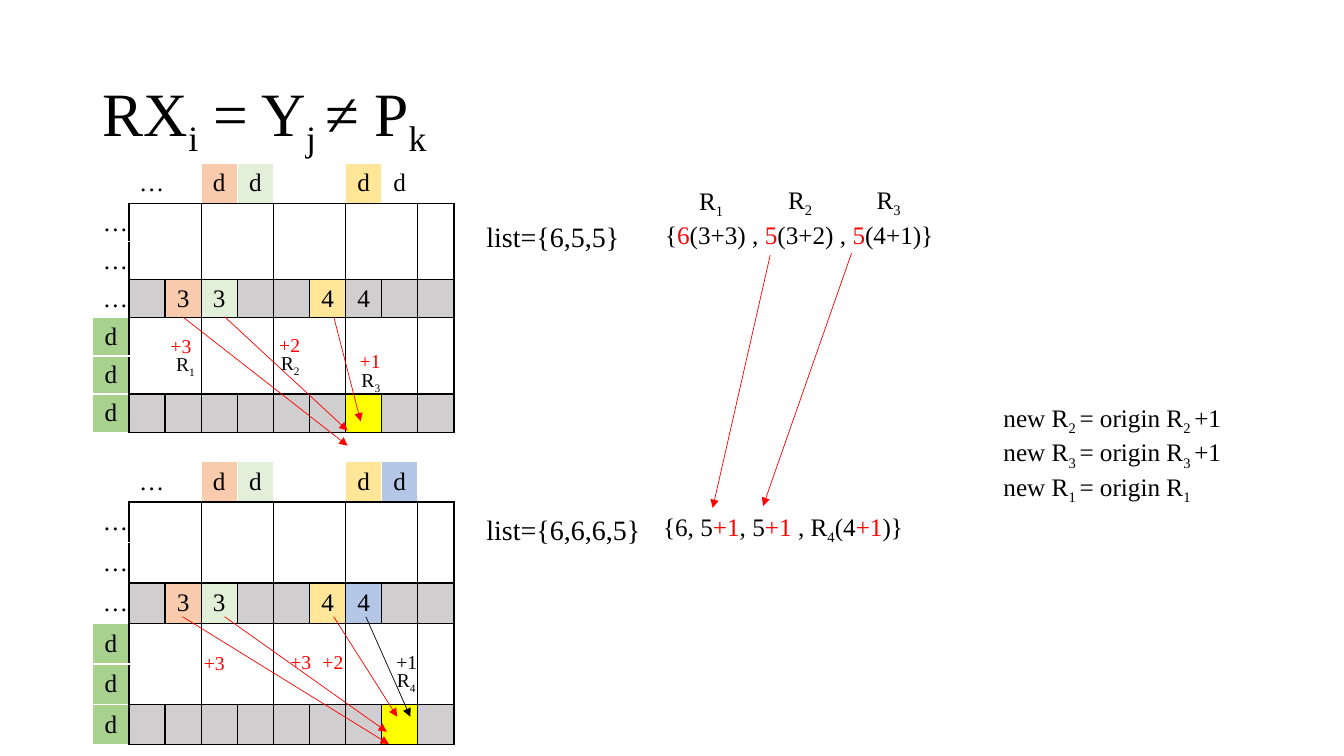
import pptx
import pptx.dml.color
import pptx.enum.shapes
import pptx.enum.text
import pptx.oxml.ns
import pptx.util
from lxml import etree

Cm = pptx.util.Cm
Pt = pptx.util.Pt
ALIGN = pptx.enum.text.PP_ALIGN
ANCHOR = pptx.enum.text.MSO_ANCHOR

FONT = "Times New Roman"
COLORS = {
    "black": "000000", "white": "FFFFFF", "red": "FF0000", "gray": "D0CECE",
    "orange": "F8CBAD", "mint": "E2F0D9", "gold": "FFE699", "blue": "B4C7E7",
    "green": "A9D18E", "yellow": "FFFF00",
}
COLUMNS = 10
GRID_LEFT, COLUMN_WIDTH, HEADER_HEIGHT = 2.34, 0.91, 1.02
SHADED_ROWS = (3, 6)


def rgb(name):
    return pptx.dml.color.RGBColor.from_string(COLORS[name])


def sub_element(parent, tag, **attributes):
    return etree.SubElement(parent, pptx.oxml.ns.qn(tag), attributes)


def style_paragraph(paragraph, size, color="black", align=ALIGN.LEFT):
    paragraph.alignment = align
    paragraph.font.name = FONT
    paragraph.font.size = Pt(size)
    paragraph.font.color.rgb = rgb(color)


def add_text(slide, left, top, width, height, lines, size, color="black",
             align=ALIGN.LEFT):
    """Each line lists plain strings and (string, "sub" or "red") pairs."""
    box = slide.shapes.add_textbox(Cm(left), Cm(top), Cm(width), Cm(height))
    frame = box.text_frame
    frame.word_wrap = False
    for index, pieces in enumerate(lines):
        paragraph = frame.add_paragraph() if index else frame.paragraphs[0]
        style_paragraph(paragraph, size, color, align)
        for piece in pieces:
            text, look = (piece, None) if isinstance(piece, str) else piece
            run = paragraph.add_run()
            run.text = text
            if look == "sub":
                run.font._element.set("baseline", "-25000")
            elif look == "red":
                run.font.color.rgb = rgb("red")
    return frame


def add_title(slide):
    pieces = ["RX", ("i", "sub"), " = Y", ("j ", "sub"), "≠ P", ("k", "sub")]
    frame = add_text(slide, 2.34, 1.02, 29.21, 3.68, [pieces], 44)
    frame.word_wrap = True
    frame.vertical_anchor = ANCHOR.MIDDLE
    frame.paragraphs[0].line_spacing = 0.9


def add_step(slide, left, top, text, color="red"):
    add_text(slide, left, top, 1.04, 0.86, [[text]], 14, color, ALIGN.CENTER)


def add_region(slide, left, top, number, size):
    width, height = (1.02, 0.86) if size == 14 else (1.14, 1.02)
    add_text(slide, left, top, width, height, [["R", (number, "sub")]], size)


def add_arrow(slide, start_x, start_y, end_x, end_y, color="red"):
    arrow = slide.shapes.add_connector(
        pptx.enum.shapes.MSO_CONNECTOR.STRAIGHT,
        Cm(start_x), Cm(start_y), Cm(end_x), Cm(end_y))
    arrow.line.color.rgb = rgb(color)
    arrow.line.width = Pt(0.5)
    sub_element(arrow.line._get_or_add_ln(), "a:tailEnd", type="triangle")
    sub_element(arrow._element.spPr, "a:effectLst")


def cell_borders(row, column):
    """Colours of the left, right, top and bottom edges; None is no line."""
    if row == 0:
        return "white", "white", "white", "black" if column else "white"
    if column == 0:
        return "white", "black", "white", "white"
    if row in SHADED_ROWS:
        return ("black",) * 4
    edges = (column % 2 == 1, column % 2 == 0 or column == COLUMNS - 1,
             row in (1, 4), row in (2, 5))
    return tuple("black" if edge else None for edge in edges)


def style_cell(cell, text, fill, borders):
    cell.margin_top = cell.margin_bottom = 0
    cell.vertical_anchor = ANCHOR.MIDDLE
    cell.text = text
    style_paragraph(cell.text_frame.paragraphs[0], 18, align=ALIGN.CENTER)
    properties = cell._tc.get_or_add_tcPr()
    for side, color in zip("LRTB", borders):
        line = sub_element(properties, f"a:ln{side}", w=str(Pt(1)))
        if color:
            paint = sub_element(line, "a:solidFill")
            sub_element(paint, "a:srgbClr", val=COLORS[color])
        else:
            sub_element(line, "a:noFill")
    if fill:
        cell.fill.solid()
        cell.fill.fore_color.rgb = rgb(fill)
    else:
        cell.fill.background()


def add_grid(slide, top, row_height, contents):
    """contents maps (row, column) to the text and fill of a cell."""
    heights = [HEADER_HEIGHT] + [row_height] * 6
    grid = slide.shapes.add_table(
        len(heights), COLUMNS, Cm(GRID_LEFT), Cm(top),
        Cm(COLUMN_WIDTH * COLUMNS), Cm(sum(heights))).table
    grid.first_row = grid.horz_banding = False
    for column in grid.columns:
        column.width = Cm(COLUMN_WIDTH)
    for row, height in enumerate(heights):
        grid.rows[row].height = Cm(height)
        for column in range(COLUMNS):
            shade = "gray" if row in SHADED_ROWS and column else None
            text, fill = contents.get((row, column), ("", shade))
            style_cell(grid.cell(row, column), text, fill,
                       cell_borders(row, column))


def main():
    deck = pptx.Presentation()
    deck.slide_width, deck.slide_height = Cm(33.87), Cm(19.05)
    slide = deck.slides.add_slide(deck.slide_layouts[6])
    add_title(slide)

    shared = {
        (0, 1): ("…", None), (0, 3): ("d", "orange"), (0, 4): ("d", "mint"),
        (0, 7): ("d", "gold"), (3, 2): ("3", "orange"),
        (3, 3): ("3", "mint"), (3, 6): ("4", "gold"),
    }
    shared.update({(row, 0): ("…", None) for row in (1, 2, 3)})
    shared.update({(row, 0): ("d", "green") for row in (4, 5, 6)})
    before = {(0, 8): ("d", None), (3, 7): ("4", "gray"), (6, 7): ("", "yellow")}
    after = {(0, 8): ("d", "blue"), (3, 7): ("4", "blue"), (6, 8): ("", "yellow")}
    add_grid(slide, 4.11, 0.96, shared | before)
    add_grid(slide, 11.63, 1.02, shared | after)

    for arrow in [
        (5.66, 7.98, 8.76, 10.85), (4.6, 7.98, 8.76, 11.23),
        (8.41, 7.98, 9.09, 10.62),
        (5.66, 15.54, 9.75, 18.44), (4.6, 15.54, 9.8, 18.75),
        (8.41, 15.54, 10.01, 18.06), (9.22, 15.54, 10.34, 18.06, "black"),
        (21.46, 6.38, 19.23, 12.75), (19.41, 6.43, 17.96, 12.8),
    ]:
        add_arrow(slide, *arrow)

    for step in [
        (6.78, 8.26, "+2"), (4.04, 8.28, "+3"), (8.81, 8.66, "+1"),
        (7.87, 16.26, "+2"), (7.06, 16.26, "+3"), (4.88, 16.28, "+3"),
        (9.73, 16.26, "+1", "black"),
    ]:
        add_step(slide, *step)

    for region in [
        (17.37, 4.55, "1", 18), (19.61, 4.52, "2", 18), (21.84, 4.52, "3", 18),
        (4.19, 8.74, "1", 14), (6.83, 8.71, "2", 14), (8.86, 9.14, "3", 14),
        (9.75, 16.71, "4", 14),
    ]:
        add_region(slide, *region)

    add_text(slide, 12.01, 5.41, 3.89, 1.96, [["list={6,5,5}"]], 20)
    add_text(slide, 12.01, 12.8, 4.42, 1.96, [["list={6,6,6,5}"]], 20)
    add_text(slide, 16.51, 5.41, 7.34, 1.02, [[
        "{", ("6", "red"), "(3+3) , ", ("5", "red"), "(3+2) , ",
        ("5", "red"), "(4+1)}"]], 18)
    add_text(slide, 16.46, 12.75, 6.65, 1.02, [[
        "{6, 5", ("+1", "red"), ", 5", ("+1", "red"), " , R", ("4", "sub"),
        "(4", ("+1", "red"), ")}"]], 18)
    renumbering = [
        ["new R", (f"{number} ", "sub"), "= origin R", (f"{number} ", "sub"), "+1"]
        for number in (2, 3)]
    renumbering.append(["new R", ("1 ", "sub"), "= origin R", ("1", "sub")])
    add_text(slide, 25.04, 10.01, 6.12, 2.57, renumbering, 18)

    deck.save("out.pptx")


if __name__ == "__main__":
    main()
